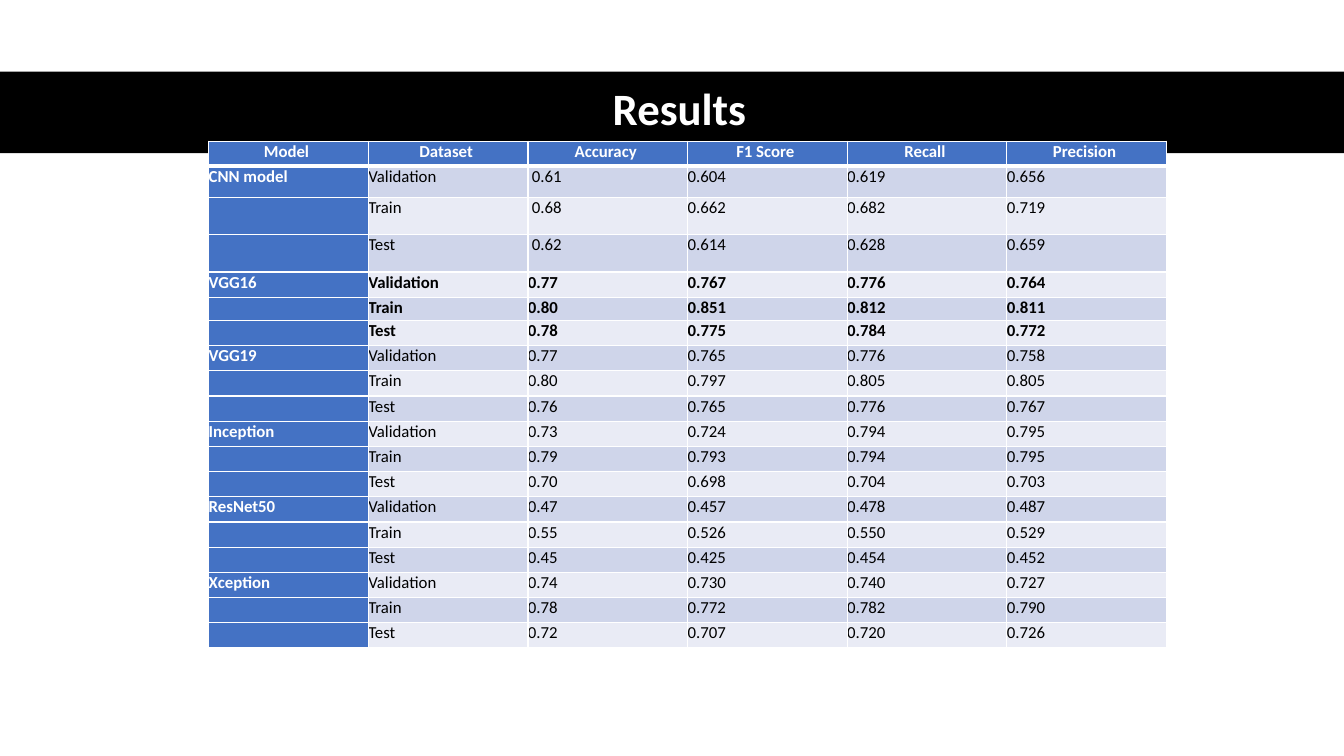
from dataclasses import dataclass

from lxml.etree import SubElement
from pptx import Presentation
from pptx.dml.color import RGBColor
from pptx.enum.shapes import MSO_SHAPE
from pptx.enum.text import MSO_ANCHOR, PP_ALIGN
from pptx.oxml.ns import qn
from pptx.util import Inches, Pt

TITLE = "Results"
HEADINGS = ["Model", "Dataset", "Accuracy", "F1 Score", "Recall", "Precision"]
DATASETS = ["Validation", "Train", "Test"]
BEST_MODEL = "VGG16"
INDENTED_MODEL = "CNN model"
SCORES = {
    "CNN model": [
        ("0.61", "0.604", "0.619", "0.656"),
        ("0.68", "0.662", "0.682", "0.719"),
        ("0.62", "0.614", "0.628", "0.659"),
    ],
    "VGG16": [
        ("0.77", "0.767", "0.776", "0.764"),
        ("0.80", "0.851", "0.812", "0.811"),
        ("0.78", "0.775", "0.784", "0.772"),
    ],
    "VGG19": [
        ("0.77", "0.765", "0.776", "0.758"),
        ("0.80", "0.797", "0.805", "0.805"),
        ("0.76", "0.765", "0.776", "0.767"),
    ],
    "Inception": [
        ("0.73", "0.724", "0.794", "0.795"),
        ("0.79", "0.793", "0.794", "0.795"),
        ("0.70", "0.698", "0.704", "0.703"),
    ],
    "ResNet50": [
        ("0.47", "0.457", "0.478", "0.487"),
        ("0.55", "0.526", "0.550", "0.529"),
        ("0.45", "0.425", "0.454", "0.452"),
    ],
    "Xception": [
        ("0.74", "0.730", "0.740", "0.727"),
        ("0.78", "0.772", "0.782", "0.790"),
        ("0.72", "0.707", "0.720", "0.726"),
    ],
}
ROW_HEIGHT = 0.25
SPECIAL_HEIGHTS = {1: 0.31, 2: 0.37, 3: 0.37, 5: 0.23}
TABLE_LEFT, TABLE_TOP, TABLE_WIDTH = 2.07, 1.4, 9.5
SPACE_WIDTH = 0.04


@dataclass(frozen=True)
class Theme:
    font: str = "Calibri"
    title_size: int = 32
    table_size: int = 12
    black: str = "000000"
    white: str = "FFFFFF"
    accent: str = "4472C4"
    bands: tuple = ("E9EBF5", "CFD5EA")
    thin: int = 1
    thick: int = 3


THEME = Theme()


def write(para, text, size, color, bold):
    span = para.add_run()
    span.text = text
    span.font.name = THEME.font
    span.font.size = Pt(size)
    span.font.bold = bold
    span.font.color.rgb = RGBColor.from_string(color)


def draw_borders(cell, row):
    properties = cell._tc.get_or_add_tcPr()
    top = THEME.thick if row == 1 else THEME.thin
    bottom = THEME.thick if row == 0 else THEME.thin
    widths = {"a:lnL": THEME.thin, "a:lnR": THEME.thin, "a:lnT": top, "a:lnB": bottom}
    for side, width in widths.items():
        line = SubElement(properties, qn(side), w=str(Pt(width)))
        fill = SubElement(line, qn("a:solidFill"))
        SubElement(fill, qn("a:srgbClr"), val=THEME.white)


def fill_cell(cell, row, column, text, best, indented):
    is_heading = row == 0
    is_label = is_heading or column == 0
    draw_borders(cell, row)
    cell.fill.solid()
    color = THEME.accent if is_label else THEME.bands[row % 2]
    cell.fill.fore_color.rgb = RGBColor.from_string(color)
    cell.margin_top = cell.margin_bottom = 0
    cell.margin_left = Inches(SPACE_WIDTH if indented and column == 2 else 0)
    cell.margin_right = Inches(SPACE_WIDTH if is_heading else 0)
    para = cell.text_frame.paragraphs[0]
    para.alignment = PP_ALIGN.CENTER if is_heading else PP_ALIGN.LEFT
    if text:
        text_color = THEME.white if is_label else THEME.black
        write(para, text, THEME.table_size, text_color, is_label or best)
    else:
        SubElement(para._p, qn("a:endParaRPr"), sz=str(THEME.table_size * 100))


def add_title(page, slide_width):
    band = page.shapes.add_shape(
        MSO_SHAPE.RECTANGLE, 0, Inches(0.71), slide_width, Inches(0.81)
    )
    band.shadow.inherit = False
    band.fill.solid()
    band.fill.fore_color.rgb = RGBColor.from_string(THEME.black)
    band.line.fill.background()
    box = page.shapes.add_textbox(Inches(0.61), Inches(0.7), Inches(12.26), Inches(0.81))
    frame = box.text_frame
    frame.word_wrap = True
    frame.vertical_anchor = MSO_ANCHOR.MIDDLE
    para = frame.paragraphs[0]
    para.alignment = PP_ALIGN.CENTER
    para.line_spacing = 0.9
    write(para, TITLE, THEME.title_size, THEME.white, True)


def add_results(page):
    records = [(HEADINGS, False, False)]
    for model, results in SCORES.items():
        for position, (dataset, scores) in enumerate(zip(DATASETS, results)):
            label = model if position == 0 else ""
            records.append(
                ([label, dataset, *scores], model == BEST_MODEL, model == INDENTED_MODEL)
            )
    heights = [SPECIAL_HEIGHTS.get(row, ROW_HEIGHT) for row in range(len(records))]
    table = page.shapes.add_table(
        len(records), len(HEADINGS), Inches(TABLE_LEFT), Inches(TABLE_TOP),
        Inches(TABLE_WIDTH), Inches(sum(heights)),
    ).table
    table.horz_banding = False
    for column in table.columns:
        column.width = Inches(TABLE_WIDTH / len(HEADINGS))
    for row, (values, best, indented) in enumerate(records):
        table.rows[row].height = Inches(heights[row])
        for column, text in enumerate(values):
            fill_cell(table.cell(row, column), row, column, text, best, indented)


def main():
    deck = Presentation()
    deck.slide_width, deck.slide_height = Inches(13.33), Inches(7.5)
    page = deck.slides.add_slide(deck.slide_layouts[6])
    add_title(page, deck.slide_width)
    add_results(page)
    deck.save("out.pptx")


if __name__ == "__main__":
    main()
